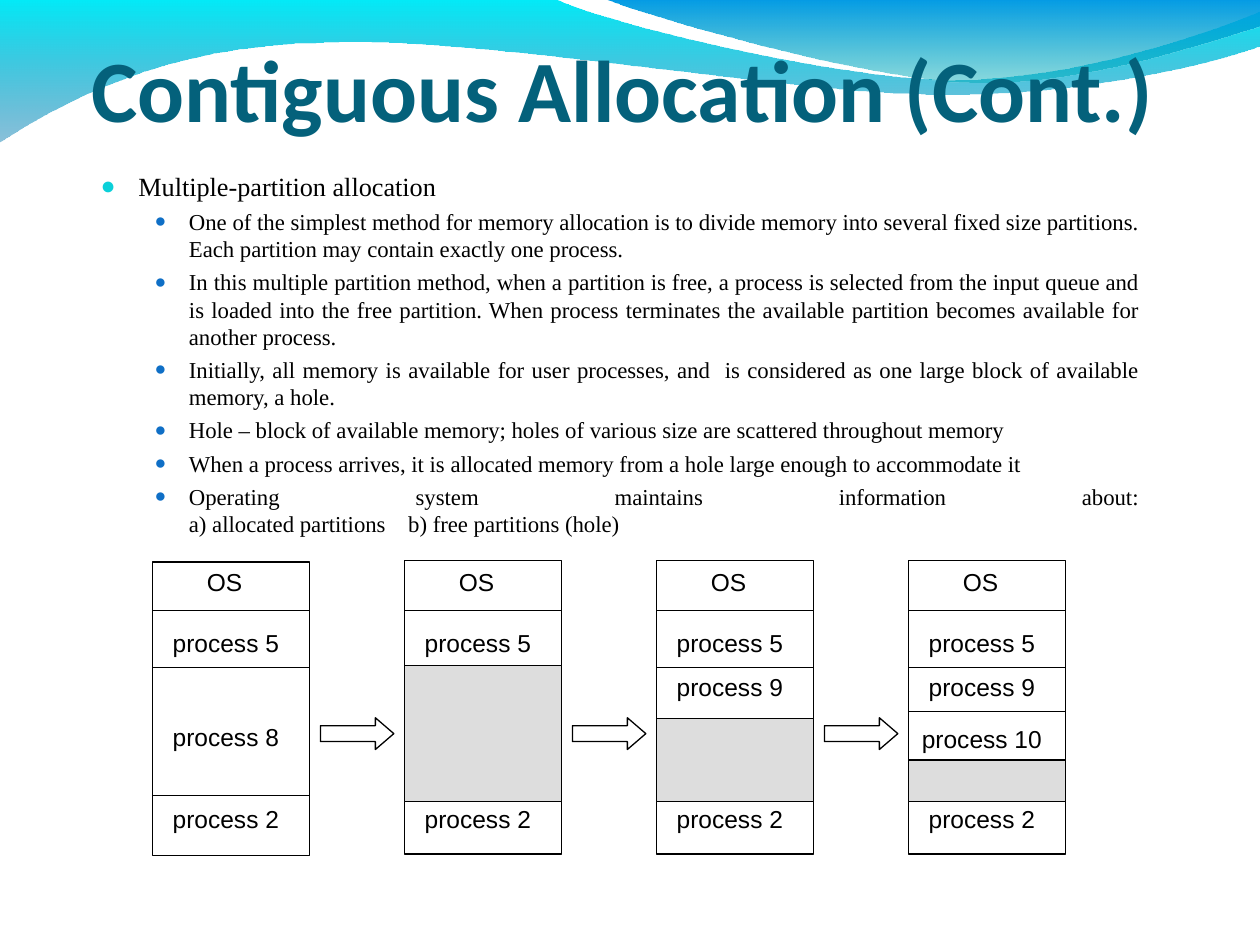
from lxml.etree import SubElement
from pptx import Presentation
from pptx.dml.color import RGBColor
from pptx.enum.shapes import MSO_CONNECTOR, MSO_SHAPE
from pptx.enum.text import MSO_ANCHOR, MSO_AUTO_SIZE, PP_ALIGN
from pptx.oxml.ns import qn
from pptx.util import Cm, Pt

TITLE = "Contiguous Allocation (Cont.)"
HEADING = "Multiple-partition allocation"
POINTS = [
    "One of the simplest method for memory allocation is to divide memory into several fixed size partitions. "
    "Each partition may contain exactly one process.",
    "In this multiple partition method, when a partition is free, a process is selected from the input queue "
    "and is loaded into the free partition. When process terminates the available partition becomes available "
    "for another process.",
    "Initially, all memory is available for user processes, and  is considered as one large block of available "
    "memory, a hole.",
    "Hole – block of available memory; holes of various size are scattered throughout memory",
    "When a process arrives, it is allocated memory from a hole large enough to accommodate it",
    "Operating system maintains information about:\va) allocated partitions\tb) free partitions (hole)",
]
LAST_TAB = 6.2

PROCESS_TOPS = {
    "process 5": 12.52, "process 8": 14.43, "process 9": 13.41, "process 10": 14.46, "process 2": 16.08,
}
MEMORY_STATES = [
    {"processes": ["process 5", "process 8", "process 2"], "top": 11.33, "hole": None},
    {"processes": ["process 5", "process 2"], "top": 11.3, "hole": 13.41},
    {"processes": ["process 5", "process 9", "process 2"], "top": 11.3, "hole": 14.48},
    {"processes": ["process 5", "process 9", "process 10", "process 2"], "top": 11.3, "hole": 15.32},
]
DIVIDERS = [12.31, 13.46, 16.04]
NEW_DIVIDER = 14.35
HOLE_BOTTOM = 16.16
COLUMN_LEFT, COLUMN_PITCH, COLUMN_WIDTH, COLUMN_HEIGHT = 3.07, 5.08, 3.17, 5.92

WAVES = [
    {"start": (0, -0.03), "colors": ("00EBF8", "0079AF"), "segments": [
        [(11.18, -0.03)],
        [(12.09, 0.43), (16.87, 1.6), (19.25, 1.6)],
        [(21.67, 1.6), (24.33, 0.66), (25.4, 0.23)],
        [(25.43, 0.91)],
        [(24.97, 1.12), (22.1, 1.93), (18.95, 1.9)],
        [(15.8, 1.9), (9.7, 0.71), (6.53, 0.86)],
        [(3.28, 0.89), (1.17, 2.11), (-0.03, 2.87)],
    ]},
    {"start": (12.17, -0.03), "colors": ("009BE5", "00ADB6"), "segments": [
        [(12.93, 0.28), (17.32, 1.57), (19.53, 1.65)],
        [(21.74, 1.75), (24.41, 0.81), (25.4, 0.53)],
        [(25.4, 0)],
    ]},
]


def color(value):
    return RGBColor.from_string(value)


def bend_segments(wave, segments):
    lines = iter(wave._element.spPr.findall(".//" + qn("a:lnTo")))
    for segment in segments:
        first, *others = [next(lines) for _ in segment]
        if others:
            curve = first.makeelement(qn("a:cubicBezTo"))
            first.addprevious(curve)
            for line in (first, *others):
                curve.append(line[0])
                line.getparent().remove(line)


def add_wave(page, start, segments, colors):
    builder = page.shapes.build_freeform(Cm(start[0]), Cm(start[1]))
    builder.add_line_segments([(Cm(x), Cm(y)) for segment in segments for x, y in segment], close=True)
    wave = builder.convert_to_shape()
    bend_segments(wave, segments)
    wave.shadow.inherit = False
    wave.line.fill.background()
    wave.fill.gradient()
    wave.fill.gradient_angle = 270
    for stop, position, shade in zip(wave.fill.gradient_stops, (0, 1), colors):
        stop.position = position
        stop.color.rgb = color(shade)
    faded = wave._element.spPr.findall(".//" + qn("a:srgbClr"))[-1]
    SubElement(faded, qn("a:alpha"), val="45000")


def style(para, font_name, size, shade, align, bold=False):
    para.alignment = align
    para.font.name = font_name
    para.font.size = Pt(size)
    para.font.bold = bold
    para.font.color.rgb = color(shade)


def set_bullet(para, shade, percent, left, hanging, tab=None):
    props = para._p.get_or_add_pPr()
    props.set("marL", str(Cm(left)))
    props.set("indent", str(Cm(-hanging)))
    SubElement(SubElement(props, qn("a:buClr")), qn("a:srgbClr"), val=shade)
    SubElement(props, qn("a:buSzPct"), val=str(percent * 1000))
    SubElement(props, qn("a:buFont"), typeface="Arial")
    SubElement(props, qn("a:buChar"), char="●")
    if tab:
        SubElement(SubElement(props, qn("a:tabLst")), qn("a:tab"), pos=str(Cm(tab)), algn="l")


def add_title(page):
    title = page.shapes.title
    title.left, title.top, title.width, title.height = Cm(1.12), Cm(-1.54), Cm(22.86), Cm(4.37)
    frame = title.text_frame
    frame.auto_size = MSO_AUTO_SIZE.NONE
    frame.vertical_anchor = MSO_ANCHOR.BOTTOM
    frame.margin_left = frame.margin_right = frame.margin_bottom = 0
    frame.text = TITLE
    style(frame.paragraphs[0], "Calibri", 50, "04617B", PP_ALIGN.CENTER, bold=True)
    page.shapes._spTree.append(title._element)


def add_body(page):
    frame = page.shapes.add_textbox(Cm(1.78), Cm(3.31), Cm(21.41), Cm(7.92)).text_frame
    frame.word_wrap = True
    heading = frame.paragraphs[0]
    heading.text = HEADING
    set_bullet(heading, "0BD0D9", 95, 0.76, 0.76)
    style(heading, "Times New Roman", 15, "000000", PP_ALIGN.JUSTIFY)
    for point in POINTS:
        para = frame.add_paragraph()
        para.text = point
        para.level = 1
        set_bullet(para, "0F6FC6", 85, 1.78, 0.69, LAST_TAB if "\t" in point else None)
        para.space_before = Pt(3.3)
        style(para, "Times New Roman", 13, "000000", PP_ALIGN.JUSTIFY)


def add_block(page, kind, left, top, width, height, fill):
    block = page.shapes.add_shape(kind, Cm(left), Cm(top), Cm(width), Cm(height))
    block.shadow.inherit = False
    block.fill.solid()
    block.fill.fore_color.rgb = color(fill)
    block.line.color.rgb = color("000000")
    block.line.width = Pt(0.75)
    return block


def add_divider(page, left, top):
    divider = page.shapes.add_connector(
        MSO_CONNECTOR.STRAIGHT, Cm(left), Cm(top), Cm(left + COLUMN_WIDTH), Cm(top))
    divider.line.color.rgb = color("000000")
    divider.line.width = Pt(0.75)
    SubElement(divider._element.spPr, qn("a:effectLst"))


def add_label(page, text, left, top, width, wrap=True):
    frame = page.shapes.add_textbox(Cm(left), Cm(top), Cm(width), Cm(0.86)).text_frame
    frame.word_wrap = wrap
    frame.vertical_anchor = MSO_ANCHOR.MIDDLE
    frame.text = text
    style(frame.paragraphs[0], "Arial", 14, "000000", PP_ALIGN.CENTER)


def add_memory(page, index, state):
    left = COLUMN_LEFT + index * COLUMN_PITCH
    add_block(page, MSO_SHAPE.RECTANGLE, left, state["top"], COLUMN_WIDTH, COLUMN_HEIGHT, "FFFFFF")
    for top in DIVIDERS:
        add_divider(page, left, top)
    if "process 10" in state["processes"]:
        add_divider(page, left, NEW_DIVIDER)
    if state["hole"]:
        add_block(page, MSO_SHAPE.RECTANGLE, left, state["hole"], COLUMN_WIDTH,
                  HOLE_BOTTOM - state["hole"], "DDDDDD")
    add_label(page, "OS", left + 0.85, 11.3, 1.22, wrap=False)
    for process in state["processes"]:
        add_label(page, process, left, PROCESS_TOPS[process], 2.97)
    if index:
        arrow = add_block(page, MSO_SHAPE.RIGHT_ARROW, left - 1.69, 14.47, 1.48, 0.64, "FFFFFF")
        arrow.adjustments[1] = 0.58


def main():
    deck = Presentation()
    deck.slide_width, deck.slide_height = Cm(25.4), Cm(19.05)
    page = deck.slides.add_slide(deck.slide_layouts[5])
    for wave in WAVES:
        add_wave(page, **wave)
    add_title(page)
    add_body(page)
    for index, state in enumerate(MEMORY_STATES):
        add_memory(page, index, state)
    deck.save("out.pptx")


if __name__ == "__main__":
    main()
